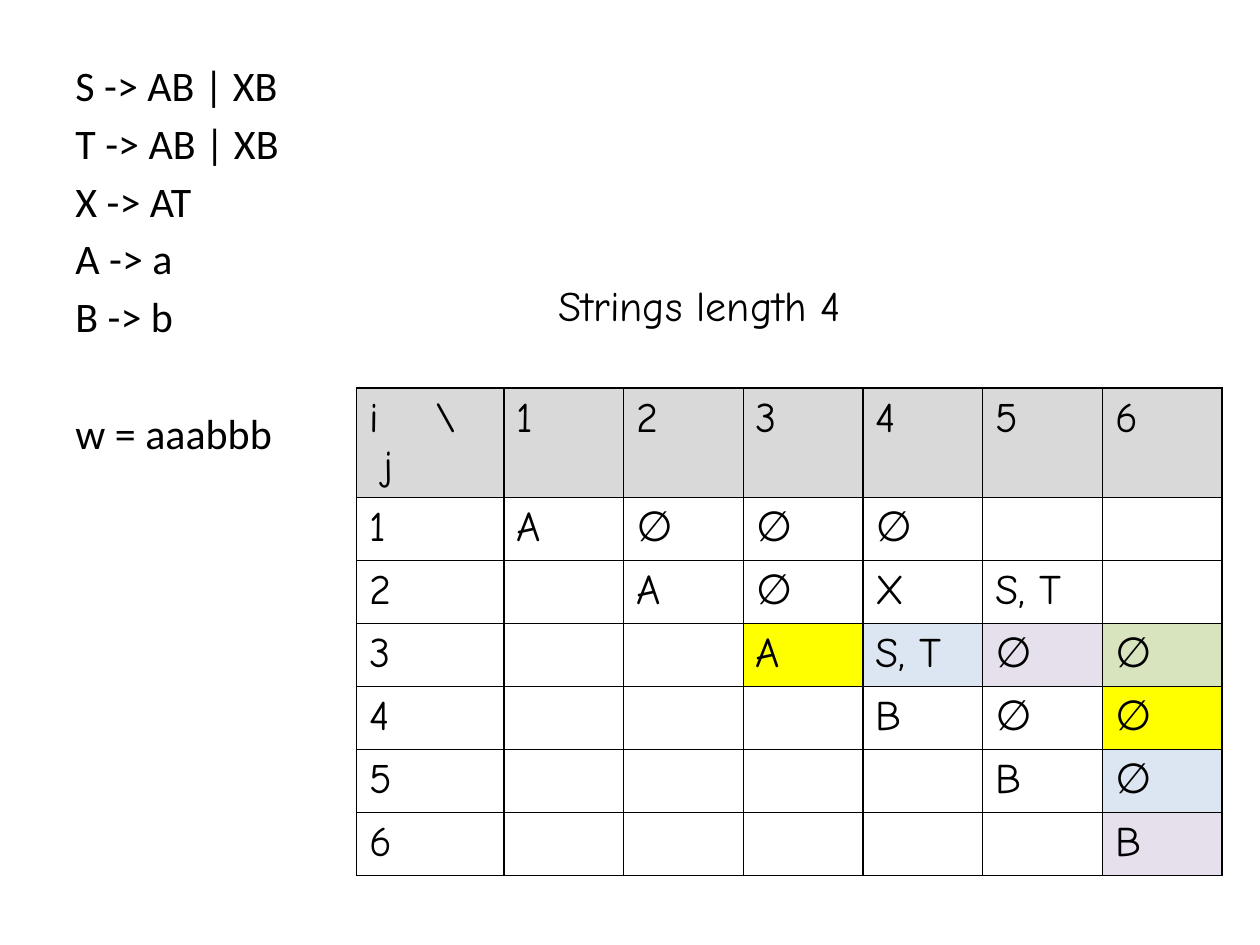
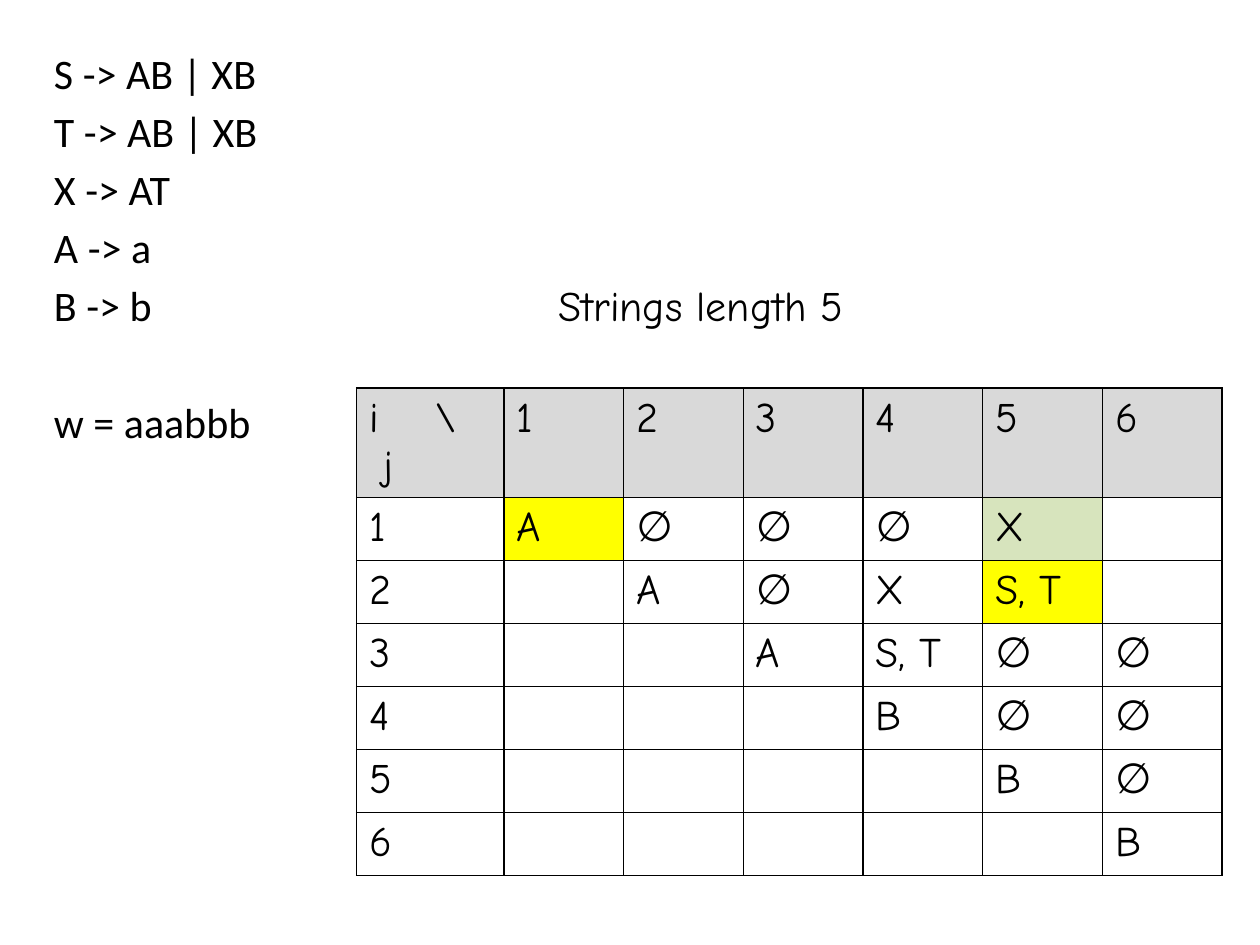
"""Build two slides that fill a parsing table for the word aaabbb."""
import pptx
import pptx.dml.color
import pptx.enum.text
import pptx.oxml
import pptx.oxml.ns
import pptx.util

Inches = pptx.util.Inches
Pt = pptx.util.Pt

INK = {
    "text": "000000",
    "head": "D9D9D9",
    "gold": "FFFF00",
    "blue": "DCE6F2",
    "plum": "E6E0EC",
    "green": "D7E4BD",
}
HAND = "Comic Neue"
SANS = "Calibri"
SIZE = 6
RULES = ["S -> AB | XB", "T -> AB | XB", "X -> AT", "A -> a", "B -> b"]
WORD = "w = aaabbb"
CHART = [
    ["A", "∅", "∅", "∅", "X"],
    ["A", "∅", "X", "S, T"],
    ["A", "S, T", "∅", "∅"],
    ["B", "∅", "∅"],
    ["B", "∅"],
    ["B"],
]
STEPS = [
    {
        "length": 4,
        "spot": (0.5, 0.42),
        "marks": {
            (3, 3): "gold", (4, 6): "gold",
            (3, 4): "blue", (5, 6): "blue",
            (3, 5): "plum", (6, 6): "plum",
            (3, 6): "green",
        },
    },
    {
        "length": 5,
        "spot": (0.33, 0.33),
        "marks": {(1, 1): "gold", (2, 5): "gold", (1, 5): "green"},
    },
]


def tint(name):
    return pptx.dml.color.RGBColor.from_string(INK[name])


def write(para, text, font=HAND, size=24, color="text", before=0):
    para.alignment = pptx.enum.text.PP_ALIGN.LEFT
    para.space_before = Pt(before)
    run = para.add_run()
    run.text = text
    run.font.name = font
    run.font.size = Pt(size)
    run.font.bold = False
    run.font.color.rgb = tint(color)


class Deck:
    def __init__(self):
        self.show = pptx.Presentation()
        self.show.slide_width = Inches(10)
        self.show.slide_height = Inches(7.5)
        self.slide = None

    def page(self):
        self.slide = self.show.slides.add_slide(self.show.slide_layouts[5])

    def title(self, text, left, top, width, height):
        shape = self.slide.shapes.title
        shape.left, shape.top = Inches(left), Inches(top)
        shape.width, shape.height = Inches(width), Inches(height)
        frame = shape.text_frame
        frame.auto_size = pptx.enum.text.MSO_AUTO_SIZE.NONE
        frame.vertical_anchor = pptx.enum.text.MSO_ANCHOR.TOP
        frame.word_wrap = True
        write(frame.paragraphs[0], text)

    def rules(self, left, top):
        box = self.slide.shapes.add_textbox(
            Inches(left), Inches(top), Inches(4.61), Inches(3.41))
        frame = box.text_frame
        frame.word_wrap = True
        write(frame.paragraphs[0], RULES[0], font=SANS)
        for rule in RULES[1:]:
            write(frame.add_paragraph(), rule, font=SANS, before=4.3)
        write(frame.add_paragraph(), WORD, font=SANS, before=38)

    def cell(self, cell, text, fill):
        if text:
            write(cell.text_frame.paragraphs[0], text)
        if fill:
            cell.fill.solid()
            cell.fill.fore_color.rgb = tint(fill)
        else:
            cell.fill.background()
        props = cell._tc.get_or_add_tcPr()
        space = pptx.oxml.ns.nsdecls("a")
        for spot, side in enumerate("LRTB"):
            props.insert(spot, pptx.oxml.parse_xml(
                f'<a:ln{side} {space} w="{Pt(1)}"><a:solidFill>'
                f'<a:srgbClr val="{INK["text"]}"/></a:solidFill></a:ln{side}>'))

    def grid(self, length, marks):
        count = SIZE + 1
        table = self.slide.shapes.add_table(
            count, count, Inches(2.83), Inches(3.08),
            Inches(6.89), Inches(3.5)).table
        table.first_row = False
        table.horz_banding = False
        for col in range(count):
            table.columns[col].width = Inches(0.95 if col else 1.17)
        for row in range(count):
            table.rows[row].height = Inches(0.5)
            for col in range(count):
                fill = marks.get((row, col)) if row else "head"
                self.cell(table.cell(row, col), entry(row, col, length), fill)


def entry(row, col, length):
    if row == 0 and col == 0:
        return "i    \\    j"
    if row == 0 or col == 0:
        return str(row + col)
    step = col - row
    found = CHART[row - 1]
    return found[step] if 0 <= step < min(length, len(found)) else ""


def main():
    deck = Deck()
    for step in STEPS:
        deck.page()
        deck.grid(step["length"], step["marks"])
        deck.title(f"Strings length {step['length']}", 4.33, 2.17, 2.76, 0.5)
        deck.rules(*step["spot"])
    deck.show.save("out.pptx")


if __name__ == "__main__":
    main()
